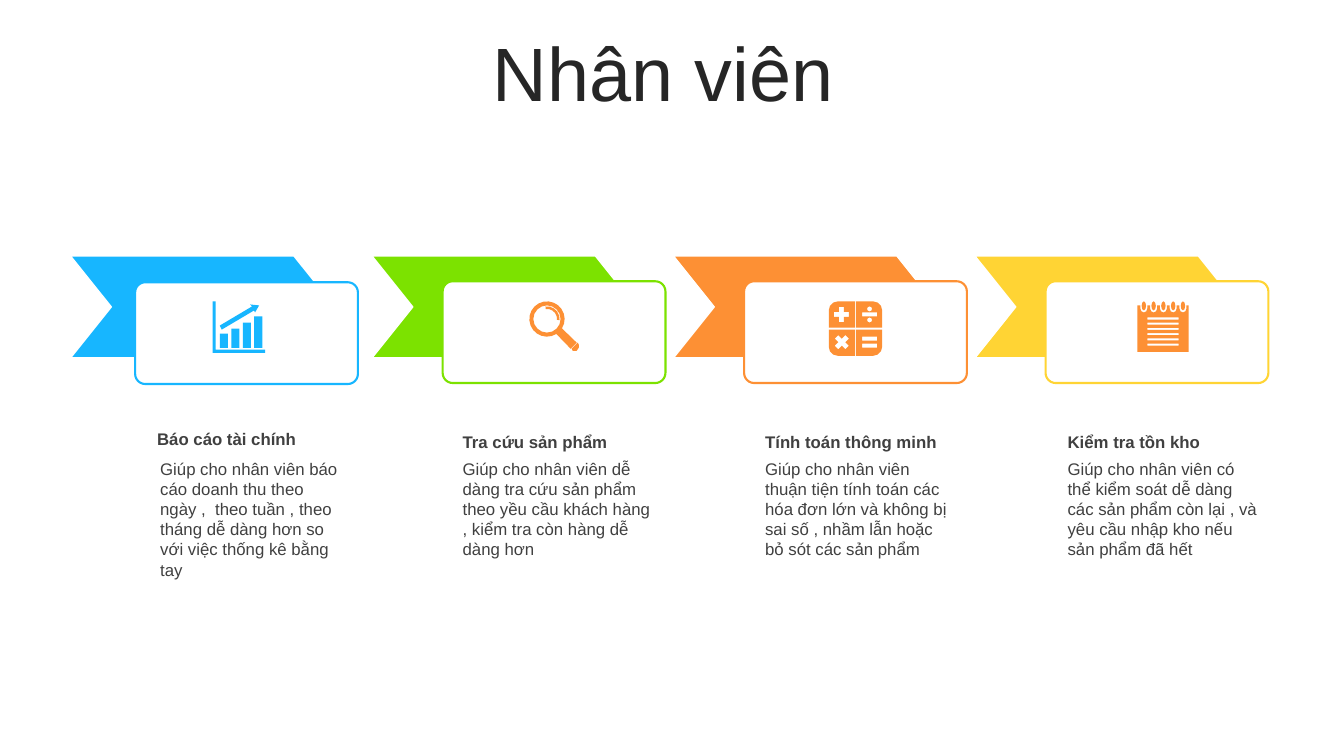
from math import cos, pi, sin
from pptx import Presentation
from pptx.dml.color import RGBColor
from pptx.enum.shapes import MSO_SHAPE
from pptx.enum.text import MSO_ANCHOR, MSO_AUTO_SIZE, PP_ALIGN
from pptx.util import Inches, Pt

HUES = {
    "blue": "17B6FF", "green": "7CE200", "orange": "FD9034", "gold": "FFD434",
    "white": "FFFFFF", "title": "262626", "text": "404040",
}


def tone(name):
    return RGBColor.from_string(HUES[name])


def paint(shape, fill, line=None, width=1):
    shape.shadow.inherit = False
    shape.fill.solid()
    shape.fill.fore_color.rgb = tone(fill)
    if line:
        shape.line.color.rgb = tone(line)
        shape.line.width = Pt(width)
    else:
        shape.line.fill.background()


def block(slide, kind, box, fill, line, width, adj):
    shape = slide.shapes.add_shape(kind, *[Inches(n) for n in box])
    shape.adjustments[0] = adj
    paint(shape, fill, line, width)


def label(slide, box, text, size, hue, bold=False, anchor=MSO_ANCHOR.TOP):
    shape = slide.shapes.add_textbox(*[Inches(n) for n in box])
    frame = shape.text_frame
    frame.word_wrap = True
    frame.vertical_anchor = anchor
    para = frame.paragraphs[0]
    para.text = text
    font = para.font
    font.name, font.size, font.bold = "Arial", Pt(size), bold
    font.color.rgb = tone(hue)
    return frame


def title(slide, box):
    frame = label(slide, box, "Nhân viên ", 54, "title", anchor=MSO_ANCHOR.MIDDLE)
    frame.paragraphs[0].alignment = PP_ALIGN.CENTER
    frame.paragraphs[0].line_spacing = 0.9


def glyph(slide, left, top, loops, fill):
    path = None
    for loop in loops:
        first, *rest = [(Inches(left + x), Inches(top + y)) for x, y in loop]
        if path:
            path.move_to(*first)
        else:
            path = slide.shapes.build_freeform(*first)
        path.add_line_segments(rest)
    paint(path.convert_to_shape(), fill)


def rect(x, y, wide, high):
    return [(x, y), (x + wide, y), (x + wide, y + high), (x, y + high)]


def arc(x, y, wide, high, start, end, count):
    turns = [(start + (end - start) * i / count) * pi / 180 for i in range(count + 1)]
    return [(x + wide * cos(t), y + high * sin(t)) for t in turns]


def disc(x, y, wide, high, count):
    return arc(x, y, wide, high, 0, 360, count)[:-1]


def plus(x, y, turn):
    arm, half = 0.075, 0.025
    spots = [(half, arm), (half, half), (arm, half)]
    points = []
    for quad in range(4):
        angle = (turn - 90 * quad) * pi / 180
        points += [(x + a * cos(angle) - b * sin(angle), y + a * sin(angle) + b * cos(angle))
                   for a, b in (spots if quad % 2 == 0 else spots)]
    return points


def chart_icon(slide, left, top):
    axes = [(0, 0), (0.03, 0), (0.03, 0.48), (0.52, 0.48), (0.52, 0.51), (0, 0.51)]
    arrow = [(0.37, 0.03), (0.46, 0.04), (0.42, 0.11), (0.41, 0.09),
             (0.09, 0.28), (0.07, 0.24), (0.39, 0.05)]
    tops = (0.32, 0.27, 0.21, 0.15)
    bars = [rect(0.07 + 0.114 * i, y, 0.08, 0.46 - y) for i, y in enumerate(tops)]
    glyph(slide, left, top, [axes, arrow, *bars], "blue")


def lens_icon(slide, left, top):
    mid = 0.175
    rim = arc(mid, mid, 0.175, 0.175, 58, 392, 20)
    grip = [(0.47, 0.41), (0.41, 0.47)]
    hole = disc(mid, mid, 0.135, 0.135, 16)
    shine = arc(mid, mid, 0.125, 0.125, -97, 5, 5) + arc(mid, mid, 0.1, 0.1, 5, -97, 5)
    tip = [(0.48, 0.41), (0.49, 0.43), (0.49, 0.46), (0.47, 0.49),
           (0.43, 0.49), (0.42, 0.47)]
    glyph(slide, left, top, [rim + grip, hole, shine, tip], "orange")


def math_icon(slide, left, top):
    loops = []
    for right in (-1, 1):
        for down in (-1, 1):
            edge = [(0.005, 0.01), (0.265, 0.01)]
            edge += arc(0.175, 0.18, 0.09, 0.09, 0, 90, 3) + [(0.005, 0.27)]
            loops.append([(0.265 + right * x, 0.27 + down * y) for x, y in edge])
    loops += [plus(0.125, 0.13, 0), plus(0.13, 0.405, 45)]
    loops += [rect(0.33, y, 0.15, 0.04) for y in (0.11, 0.35, 0.42)]
    loops += [disc(0.405, y, 0.025, 0.025, 8) for y in (0.075, 0.185)]
    glyph(slide, left, top, loops, "orange")


def note_icon(slide, left, top):
    rings = [0.065 + 0.097 * i for i in range(5)]
    page = [(0, 0.04)]
    for mid in rings:
        page += [(mid - 0.035, 0.04)] + arc(mid, 0.07, 0.035, 0.04, 180, 0, 4)
        page += [(mid + 0.035, 0.04)]
    page += [(0.51, 0.04), (0.51, 0.5), (0, 0.5)]
    loops = [page] + [disc(mid, 0.045, 0.022, 0.045, 8) for mid in rings]
    loops += [rect(0.1, 0.16 + 0.052 * i, 0.31, 0.02) for i in range(6)]
    glyph(slide, left, top, loops, "orange")


def step(slide, left, top, hue, card, head, body):
    block(slide, MSO_SHAPE.CHEVRON, (left, top, 2.62, 1.01), hue, "white", 1, 0.4)
    block(slide, MSO_SHAPE.ROUNDED_RECTANGLE,
          (left + card[0], top + card[1], 2.21, 1.01), "white", hue, 1.5, 0.1)
    for (x, y, text), high, bold, anchor in (
            (head, 0.3, True, MSO_ANCHOR.MIDDLE), (body, 1.11, False, MSO_ANCHOR.TOP)):
        frame = label(slide, (left + x, top + y, 2.09, high), text, 12, "text", bold, anchor)
        frame.auto_size = MSO_AUTO_SIZE.SHAPE_TO_FIT_TEXT


STEPS = [
    ("blue", (0.64, 0.26), (0.76, 1.66, "Báo cáo tài chính"),
     "Giúp cho nhân viên báo cáo doanh thu theo ngày ,  theo tuần , theo tháng dễ dàng "
     "hơn so với việc thống kê bằng tay", chart_icon, 1.41),
    ("green", (0.7, 0.25), (0.8, 1.69, "Tra cứu sản phẩm"),
     "Giúp cho nhân viên dễ dàng tra cứu sản phẩm theo yều cầu khách hàng , kiểm tra "
     "còn hàng dễ dàng hơn", lens_icon, 1.56),
    ("orange", (0.7, 0.25), (0.81, 1.69, "Tính toán thông minh"),
     "Giúp cho nhân viên thuận tiện tính toán các hóa đơn lớn và không bị sai số , nhầm "
     "lẫn hoặc bỏ sót các sản phẩm", math_icon, 1.54),
    ("gold", (0.7, 0.25), (0.82, 1.69, "Kiểm tra tồn kho"),
     "Giúp cho nhân viên có thể kiểm soát dễ dàng các sản phẩm còn lại , và yêu cầu nhập "
     "kho nếu sản phẩm đã hết", note_icon, 1.61),
]


def main():
    deck = Presentation()
    deck.slide_width, deck.slide_height = Inches(13.33), Inches(7.5)
    slide = deck.slides.add_slide(deck.slide_layouts[6])
    title(slide, (0.35, 0.37, 12.66, 0.79))
    top = 2.54
    for i, (hue, card, head, body, icon, shift) in enumerate(STEPS):
        left = 0.7 + 2.99 * i
        step(slide, left, top, hue, card, head, (0.79 + 0.01 * i, 1.96, body))
        icon(slide, left + shift, top + 0.45)
    deck.save("out.pptx")


if __name__ == "__main__":
    main()
